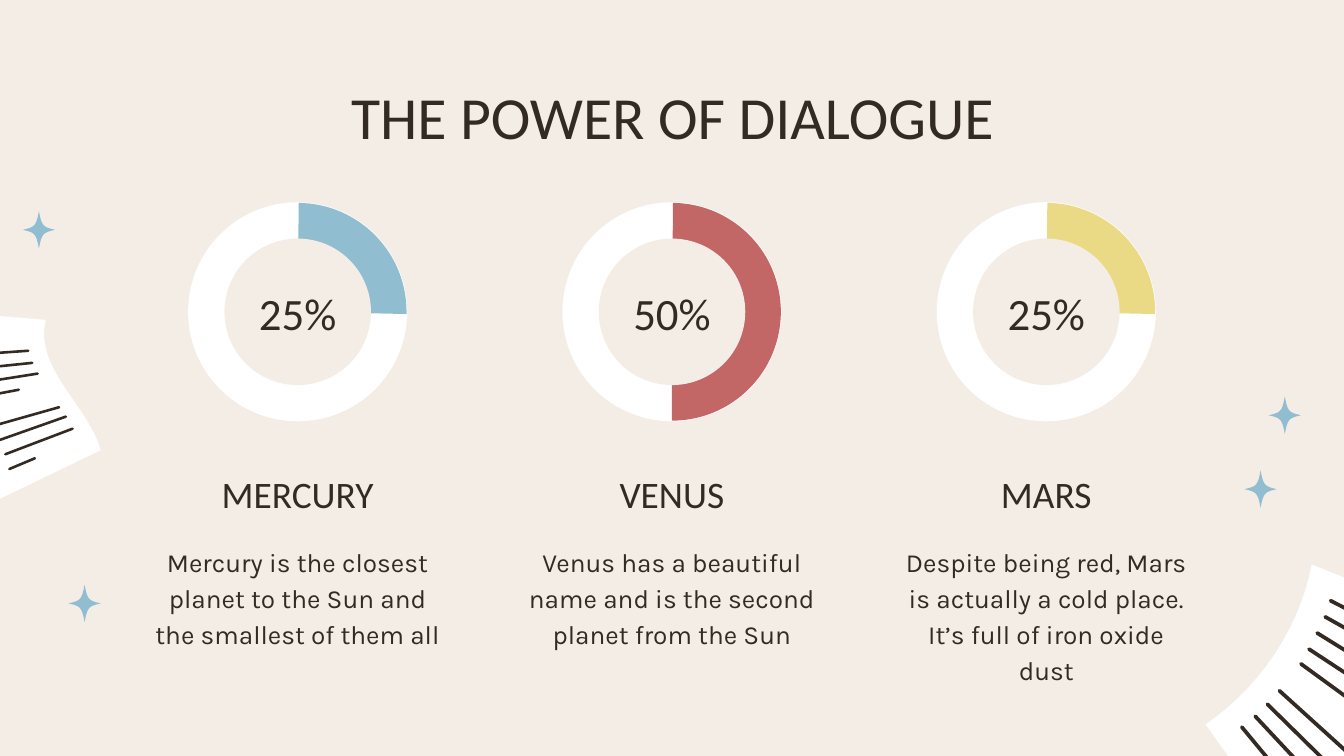
from pptx import Presentation
from pptx.dml import color
from pptx.enum import shapes, text
from pptx.oxml import ns
from pptx.util import Inches, Pt
from lxml import etree


class Theme:
    ink, paper, white = "322A23", "F3EDE6", "FFFFFF"
    blue, red, yellow = "91BDD1", "C36666", "EADA85"
    head, body = "Calibri", "Karla"
    title, share, name, note = 32, 24, 20, 14


# Content
WIDE, HIGH = 10, 10 * 9 / 16
TITLE = "THE POWER OF DIALOGUE"
PLANETS = [  # name, share, pie end (60000ths of a degree / 100000), colour, note
    ("MERCURY", "25%", 0.72, Theme.blue,
     "Mercury is the closest planet to the Sun and the smallest of them all"),
    ("VENUS", "50%", 54.01, Theme.red,
     "Venus has a beautiful name and is the second planet from the Sun"),
    ("MARS", "25%", 0.72, Theme.yellow,
     "Despite being red, Mars is actually a cold place. It’s full of iron oxide dust"),
]
PIE_START = 162.32
STARS = [(9.56, 3.09), (9.38, 3.64), (0.29, 1.71), (0.63, 4.49)]

# Pages: start point, segments (one point = line, three = curve), pen, ruled lines
PAGES = [
    ((0.75, 3.35),
     [[(0.5, 3.47), (0.23, 3.6), (-0.06, 3.74)],
      [(0.09, 3.22), (-0.79, 2.9), (-0.39, 2.32)],
      [(0.34, 2.38)],
      [(0.25, 2.74), (0.66, 3.02), (0.75, 3.35)]],
     1.4,
     [(-0.36, 2.65, 0.21, 2.61), (-0.34, 2.76, 0.24, 2.7),
      (-0.29, 2.87, 0.28, 2.78), (-0.23, 2.97, 0.14, 2.9),
      (-0.09, 3.18, 0.44, 3.03), (-0.02, 3.28, 0.49, 3.1),
      (0.04, 3.38, 0.54, 3.19), (0.07, 3.49, 0.26, 3.41)]),
    ((9.63, 6.32),
     [[(8.97, 5.39)],
      [(9.38, 5.11), (9.67, 4.67), (9.76, 4.2)],
      [(11.05, 4.72)],
      [(10.81, 5.41), (10.29, 5.99), (9.63, 6.32)]],
     2,
     [(9.9, 4.47, 10.43, 4.74), (9.86, 4.59, 10.68, 5.05),
      (9.8, 4.71, 10.59, 5.2), (9.74, 4.83, 10.5, 5.33),
      (9.68, 4.94, 10.16, 5.29), (9.52, 5.14, 10.16, 5.72),
      (9.43, 5.24, 10.04, 5.84), (9.34, 5.33, 9.91, 5.94),
      (9.24, 5.41, 9.43, 5.64)]),
]


def rgb(hue):
    return color.RGBColor.from_string(hue)


def paint(shape, hue):
    shape.shadow.inherit = False
    shape.fill.solid()
    shape.fill.fore_color.rgb = rgb(hue)
    shape.line.fill.background()


def trace(start, parts, steps=14):
    """Turn lines and cubic curves into a list of points."""
    pts = [start]
    for part in parts:
        if len(part) == 1:
            pts += part
            continue
        knots = [pts[-1], *part]
        for i in range(1, steps + 1):
            t = i / steps
            mix = ((1 - t) ** 3, 3 * t * (1 - t) ** 2, 3 * t * t * (1 - t), t ** 3)
            pts.append(tuple(sum(m * k[a] for m, k in zip(mix, knots)) for a in (0, 1)))
    return pts


def outline(slide, start, parts, hue):
    first, *rest = [(Inches(x), Inches(y)) for x, y in trace(start, parts)]
    pen = slide.shapes.build_freeform(*first, scale=1.0)
    pen.add_line_segments(rest, close=True)
    paint(pen.convert_to_shape(), hue)


def rule(slide, ends, width):
    line = slide.shapes.add_connector(
        shapes.MSO_CONNECTOR.STRAIGHT, *[Inches(v) for v in ends])
    line.line.color.rgb = rgb(Theme.ink)
    line.line.width = Pt(width)
    line.line._get_or_add_ln().set("cap", "rnd")
    etree.SubElement(line._element.spPr, ns.qn("a:effectLst"))


def star(slide, x, y):
    """Four mirrored arms around a centre."""
    quarter = [(0.12, 0), (0.03, 0.02), (0.02, 0.03), (0, 0.14)]
    parts = []
    for sx, sy in [(1, 1), (-1, 1), (-1, -1), (1, -1)]:
        arc = [(x + sx * dx, y + sy * dy) for dx, dy in quarter]
        parts.append((arc if sx == sy else arc[::-1])[1:])
    outline(slide, (x + 0.12, y), parts, Theme.blue)


def disc(slide, kind, mid, size, hue):
    x, y = mid
    shape = slide.shapes.add_shape(kind, Inches(x - size / 2), Inches(y - size / 2),
                                   Inches(size), Inches(size))
    paint(shape, hue)
    return shape


def write(box, words, font, size, anchor, spacing=1.0):
    frame = box.text_frame
    frame.word_wrap = True
    frame.auto_size = text.MSO_AUTO_SIZE.NONE
    frame.vertical_anchor = anchor
    frame.margin_left = frame.margin_right = Inches(0.1)
    frame.margin_top = frame.margin_bottom = Inches(0.1)
    para = frame.paragraphs[0]
    para.alignment = text.PP_ALIGN.CENTER
    para.line_spacing = spacing
    para.space_before = Pt(0)
    run = para.add_run()
    run.text = words
    run.font.name, run.font.size = font, Pt(size)
    run.font.color.rgb = rgb(Theme.ink)


def label(slide, x, top, width, height, *style):
    box = slide.shapes.add_textbox(Inches(x - width / 2), Inches(top),
                                   Inches(width), Inches(height))
    write(box, *style)


def main():
    deck = Presentation()
    deck.slide_width, deck.slide_height = Inches(WIDE), Inches(HIGH)
    slide = deck.slides.add_slide(deck.slide_layouts[5])
    slide.background.fill.solid()
    slide.background.fill.fore_color.rgb = rgb(Theme.paper)
    top, mid, low = (text.MSO_ANCHOR.TOP, text.MSO_ANCHOR.MIDDLE,
                     text.MSO_ANCHOR.BOTTOM)

    # Decoration
    for start, parts, width, lines in PAGES:
        outline(slide, start, parts, Theme.white)
        for ends in lines:
            rule(slide, ends, width)
    for spot in STARS:
        star(slide, *spot)

    # Title
    title = slide.shapes.title
    title.left, title.top = Inches(0.79), Inches(0.49)
    title.width, title.height = Inches(8.43), Inches(0.71)
    write(title, TITLE, Theme.head, Theme.title, top)

    # Planet columns
    oval, pie = shapes.MSO_SHAPE.OVAL, shapes.MSO_SHAPE.PIE
    pitch = 5.57 / 2
    for i, (name, share, end, hue, note) in enumerate(PLANETS):
        x = WIDE / 2 + (i - 1) * pitch
        hub = (x, 2.32)
        disc(slide, oval, hub, 1.63, Theme.white)
        wedge = disc(slide, pie, hub, 1.62, hue)
        wedge.adjustments[0], wedge.adjustments[1] = PIE_START, end
        disc(slide, oval, hub, 1.09, Theme.paper)
        label(slide, x, 2.06, 1.11, 0.53, share, Theme.head, Theme.share, mid)
        label(slide, x, 3.4, 2.38, 0.54, name, Theme.head, Theme.name, low, 1.15)
        label(slide, x, 3.93, 2.38, 0.98, note, Theme.body, Theme.note, top, 1.15)

    deck.save("out.pptx")


if __name__ == "__main__":
    main()
